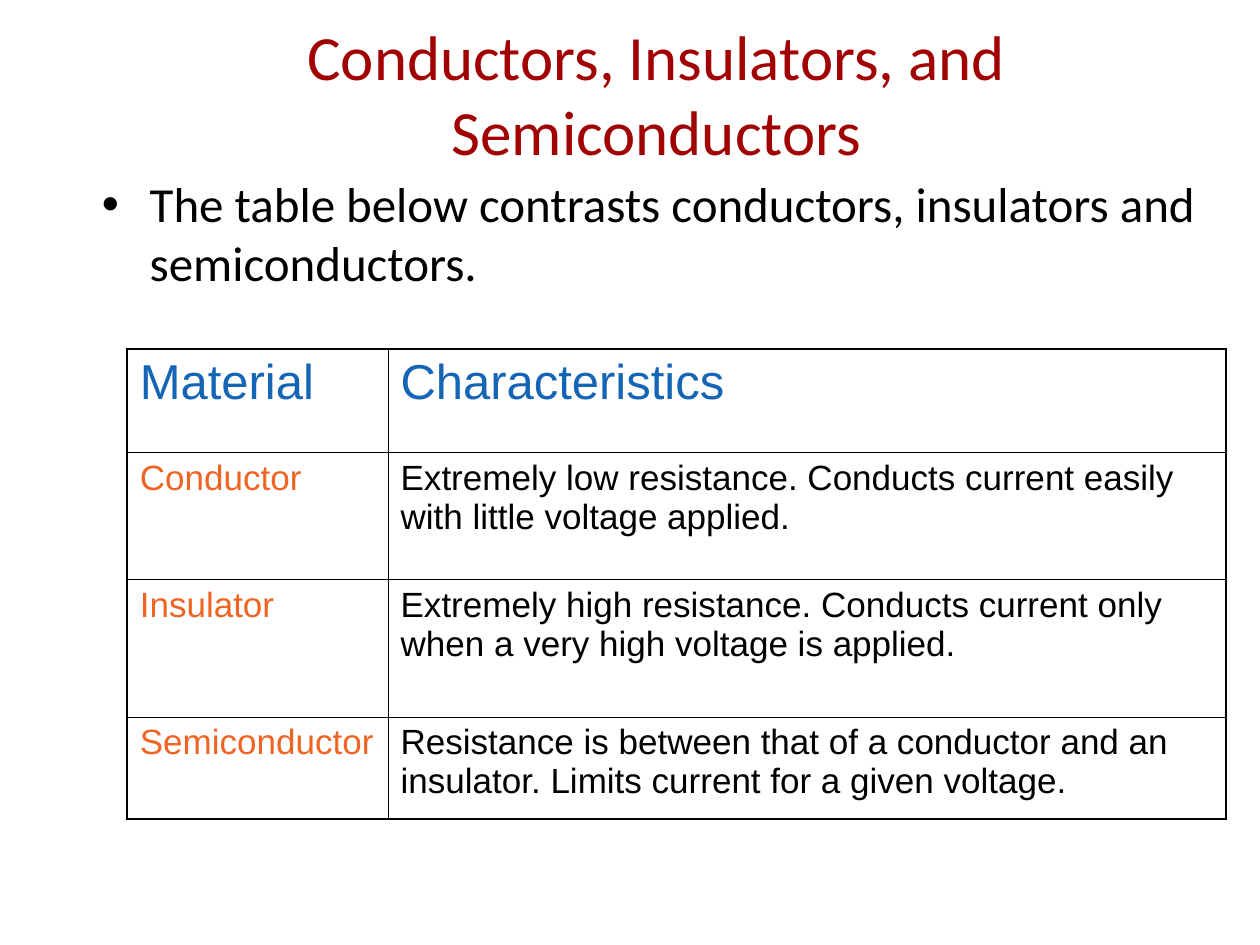
"""Build a slide with a table contrasting conductors, insulators and semiconductors."""
from lxml.etree import SubElement
from pptx import Presentation
from pptx.dml.color import RGBColor
from pptx.enum.text import MSO_ANCHOR, PP_ALIGN
from pptx.oxml.ns import qn
from pptx.util import Inches, Pt

TITLE = "Conductors, Insulators, and Semiconductors"
INTRO = "The table below contrasts conductors, insulators and semiconductors."
MATERIALS = [
    ("Material", "Characteristics"),
    ("Conductor", "Extremely low resistance. Conducts current easily with little voltage applied."),
    ("Insulator", "Extremely high resistance. Conducts current only when a very high voltage is applied."),
    ("Semiconductor", "Resistance is between that of a conductor and an insulator. "
                      "Limits current for a given voltage."),
]
COLUMN_WIDTHS = (2.07, 6.65)
ROW_HEIGHTS = (0.82, 1.01, 1.09, 0.81)
RED, BLUE, ORANGE, BLACK = "A20101", "1465B5", "EF6422", "000000"
OUTER_WIDTH, INNER_WIDTH = 1.08, 0.45


def style(paragraph, font_name, size, color, space_before=0):
    paragraph.font.name = font_name
    paragraph.font.size = Pt(size)
    paragraph.font.color.rgb = RGBColor.from_string(color)
    paragraph.space_before = Pt(space_before)


def add_text(slide, text, left, top, width, height):
    frame = slide.shapes.add_textbox(*map(Inches, (left, top, width, height))).text_frame
    frame.word_wrap = True
    frame.text = text
    return frame


def add_bullet(paragraph, indent):
    properties = paragraph._p.get_or_add_pPr()
    properties.set("marL", str(Inches(indent)))
    properties.set("indent", str(-Inches(indent)))
    SubElement(properties, qn("a:buFont"), typeface="Arial")
    SubElement(properties, qn("a:buChar"), char="•")


def set_borders(cell, outer_sides):
    properties = cell._tc.get_or_add_tcPr()
    for side, outer in outer_sides.items():
        width = OUTER_WIDTH if outer else INNER_WIDTH
        line = SubElement(properties, qn(f"a:ln{side}"), w=str(Pt(width)))
        fill = SubElement(line, qn("a:solidFill"))
        SubElement(fill, qn("a:srgbClr"), val=BLACK)


def add_materials(slide, left, top):
    rows, columns = len(ROW_HEIGHTS), len(COLUMN_WIDTHS)
    table = slide.shapes.add_table(
        rows, columns, Inches(left), Inches(top),
        Inches(sum(COLUMN_WIDTHS)), Inches(sum(ROW_HEIGHTS))).table
    table.first_row = table.horz_banding = False
    for column, width in zip(table.columns, COLUMN_WIDTHS):
        column.width = Inches(width)
    for r, (row, height) in enumerate(zip(table.rows, ROW_HEIGHTS)):
        row.height = Inches(height)
        for c, cell in enumerate(row.cells):
            cell.text = MATERIALS[r][c]
            size, color, space = (28, BLUE, 7) if r == 0 else (20, BLACK if c else ORANGE, 5)
            style(cell.text_frame.paragraphs[0], "Arial", size, color, space)
            set_borders(cell, {"L": c == 0, "R": c == columns - 1,
                               "T": r == 0, "B": r == rows - 1})
            cell.fill.background()


def main():
    presentation = Presentation()
    presentation.slide_width, presentation.slide_height = Inches(10), Inches(7.5)
    slide = presentation.slides.add_slide(presentation.slide_layouts[6])

    title = add_text(slide, TITLE, 0.71, 0.11, 9, 1.25)
    title.vertical_anchor = MSO_ANCHOR.MIDDLE
    title.paragraphs[0].alignment = PP_ALIGN.CENTER
    style(title.paragraphs[0], "Calibri", 36, RED)

    intro = add_text(slide, INTRO, 0.71, 1.33, 9.11, 5.6).paragraphs[0]
    style(intro, "Calibri", 28, BLACK, 7)
    add_bullet(intro, 0.38)

    add_materials(slide, 1.01, 2.77)
    presentation.save("out.pptx")


if __name__ == "__main__":
    main()
